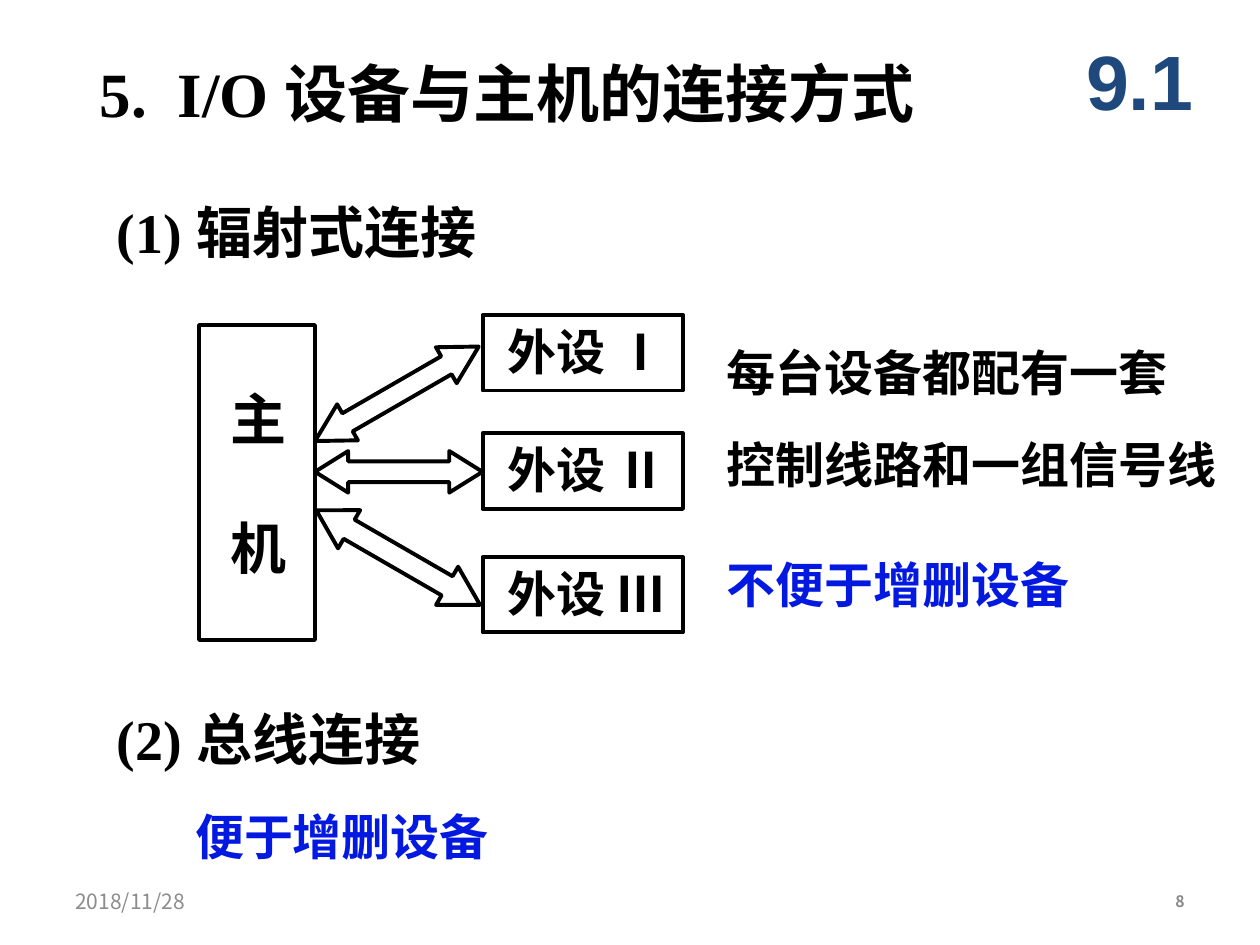
import pptx
import pptx.util
import pptx.dml.color
import pptx.enum.shapes
import pptx.enum.text
import lxml.etree

Inches, Pt = pptx.util.Inches, pptx.util.Pt
SHAPE = pptx.enum.shapes.MSO_SHAPE
ALIGN = pptx.enum.text.PP_ALIGN
ANCHOR = pptx.enum.text.MSO_ANCHOR
SERIF, SANS, CJK = "Times New Roman", "Arial", "Noto Sans CJK SC"
COLORS = {"ink": "000000", "note": "0419E0", "section": "1F497D",
          "date": "8C8C8C", "number": "898989"}
A = "http://schemas.openxmlformats.org/drawingml/2006/main"

# Content: text, (left, top, width, height), size, colour
TITLE = ("5.\tI/O 设备与主机的连接方式", (0.69, 0.38, 6.83, 0.7), 36)
TEXTS = [
    ("(1) 辐射式连接", (0.83, 1.52, 4.25, 0.63), 32, "ink"),
    ("(2) 总线连接", (0.83, 5.54, 3.92, 0.63), 32, "ink"),
    ("主", (1.73, 3, 0.65, 0.63), 32, "ink"),
    ("机", (1.73, 4.03, 0.65, 0.63), 32, "ink"),
    ("每台设备都配有一套", (5.67, 2.67, 4.2, 0.57), 28, "ink"),
    ("控制线路和一组信号线", (5.67, 3.4, 4.2, 0.57), 28, "ink"),
    ("不便于增删设备", (5.67, 4.35, 3.42, 0.57), 28, "note"),
    ("便于增删设备", (1.45, 6.35, 6.58, 0.57), 28, "note"),
]
HOST = (1.58, 2.58, 0.92, 2.5)
DEVICES = [("外设 Ⅰ", 2.5), ("外设 Ⅱ", 3.44), ("外设 Ⅲ", 4.42)]
# Arrows: box, rotation, head length ratio
ARROWS = [
    ((2.4, 2.96, 1.5, 0.33), 150, 0.9),
    ((2.5, 3.58, 1.33, 0.33), 0, 0.8),
    ((2.41, 4.25, 1.5, 0.35), 30, 0.86),
]


def write(sp, text, size, color, font=SERIF, bold=True, align=ALIGN.LEFT,
          anchor=ANCHOR.TOP):
    tf = sp.text_frame
    tf.word_wrap = True
    tf.auto_size = pptx.enum.text.MSO_AUTO_SIZE.NONE
    tf.vertical_anchor = anchor
    p = tf.paragraphs[0]
    p.alignment = align
    r = p.add_run()
    r.text = text
    r.font.name, r.font.size, r.font.bold = font, Pt(size), bold
    r.font.color.rgb = pptx.dml.color.RGBColor.from_string(COLORS[color])
    # East Asian typeface
    lxml.etree.SubElement(r.font._element, f"{{{A}}}ea", typeface=CJK)
    return p


def add_text(s, text, box, size, color, **style):
    sp = s.shapes.add_textbox(*map(Inches, box))
    return write(sp, text, size, color, **style)


def add_outline(s, kind, box):
    sp = s.shapes.add_shape(kind, *map(Inches, box))
    sp.shadow.inherit = False
    sp.fill.background()
    sp.line.color.rgb = pptx.dml.color.RGBColor.from_string(COLORS["ink"])
    sp.line.width = Pt(2.25)
    return sp


def main():
    prs = pptx.Presentation()
    prs.slide_width, prs.slide_height = Inches(10), Inches(7.5)
    s = prs.slides.add_slide(prs.slide_layouts[5])

    # Title, with a tab stop after its number
    text, box, size = TITLE
    title = s.shapes.title
    title.left, title.top, title.width, title.height = map(Inches, box)
    p = write(title, text, size, "ink")
    tabs = lxml.etree.SubElement(p._p.get_or_add_pPr(), f"{{{A}}}tabLst")
    lxml.etree.SubElement(tabs, f"{{{A}}}tab", pos=str(Inches(0.62)), algn="l")

    # Host, devices and the links between them
    add_outline(s, SHAPE.RECTANGLE, HOST)
    for name, top in DEVICES:
        sp = add_outline(s, SHAPE.RECTANGLE, (3.83, top, 1.59, 0.6))
        write(sp, name, 28, "ink")
        sp.text_frame.margin_left = Inches(0.2)
        sp.text_frame.margin_right = 0
    for box, rotation, head in ARROWS:
        sp = add_outline(s, SHAPE.LEFT_RIGHT_ARROW, box)
        sp.rotation = rotation
        sp.adjustments[0], sp.adjustments[1] = 0.5, head

    # Headings, labels and notes
    for item in TEXTS:
        add_text(s, *item)

    # Section number, date and slide number
    add_text(s, "9.1", (8.42, 0.17, 1.25, 0.92), 44, "section", font=SANS,
             align=ALIGN.CENTER, anchor=ANCHOR.MIDDLE)
    add_text(s, "2018/11/28", (0.5, 6.95, 2.33, 0.4), 12, "date", font=CJK,
             bold=False, anchor=ANCHOR.MIDDLE)
    add_text(s, "8", (7.17, 6.95, 2.33, 0.4), 9, "number", font=CJK,
             align=ALIGN.RIGHT, anchor=ANCHOR.MIDDLE)

    prs.save("out.pptx")


if __name__ == "__main__":
    main()
